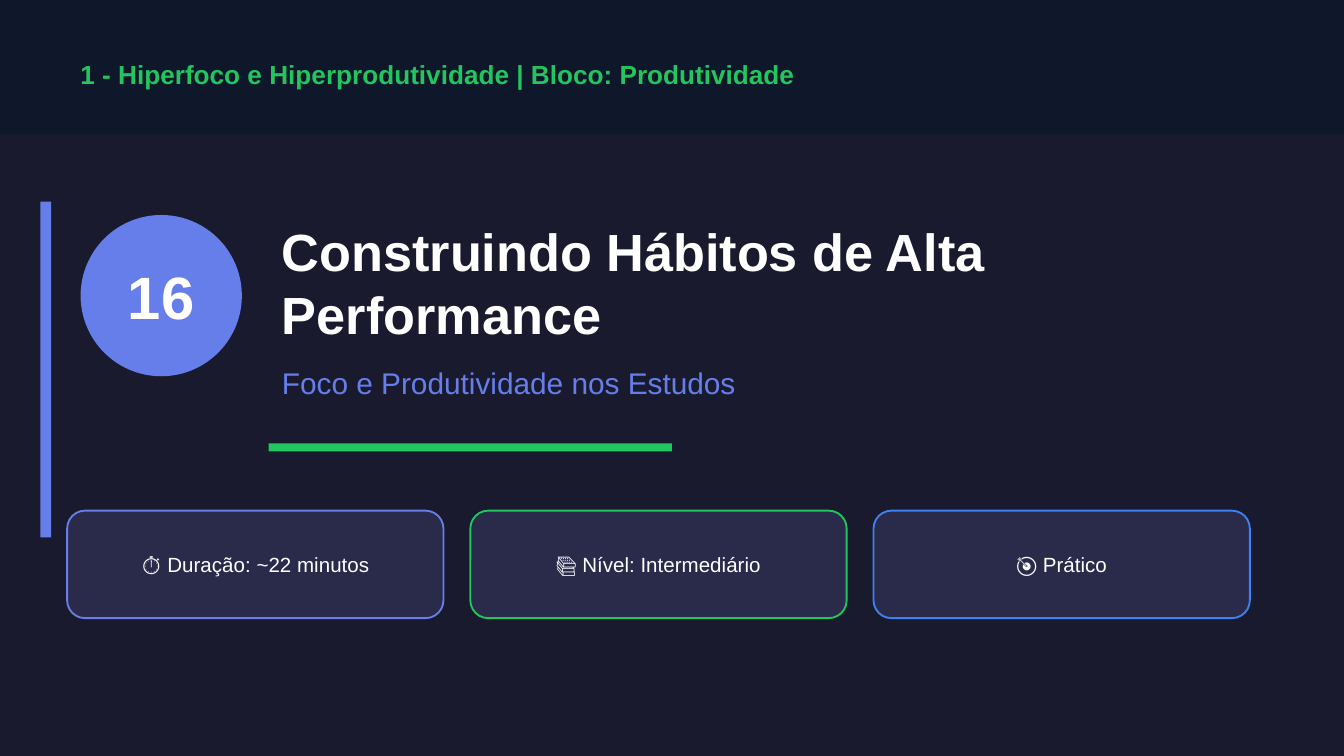
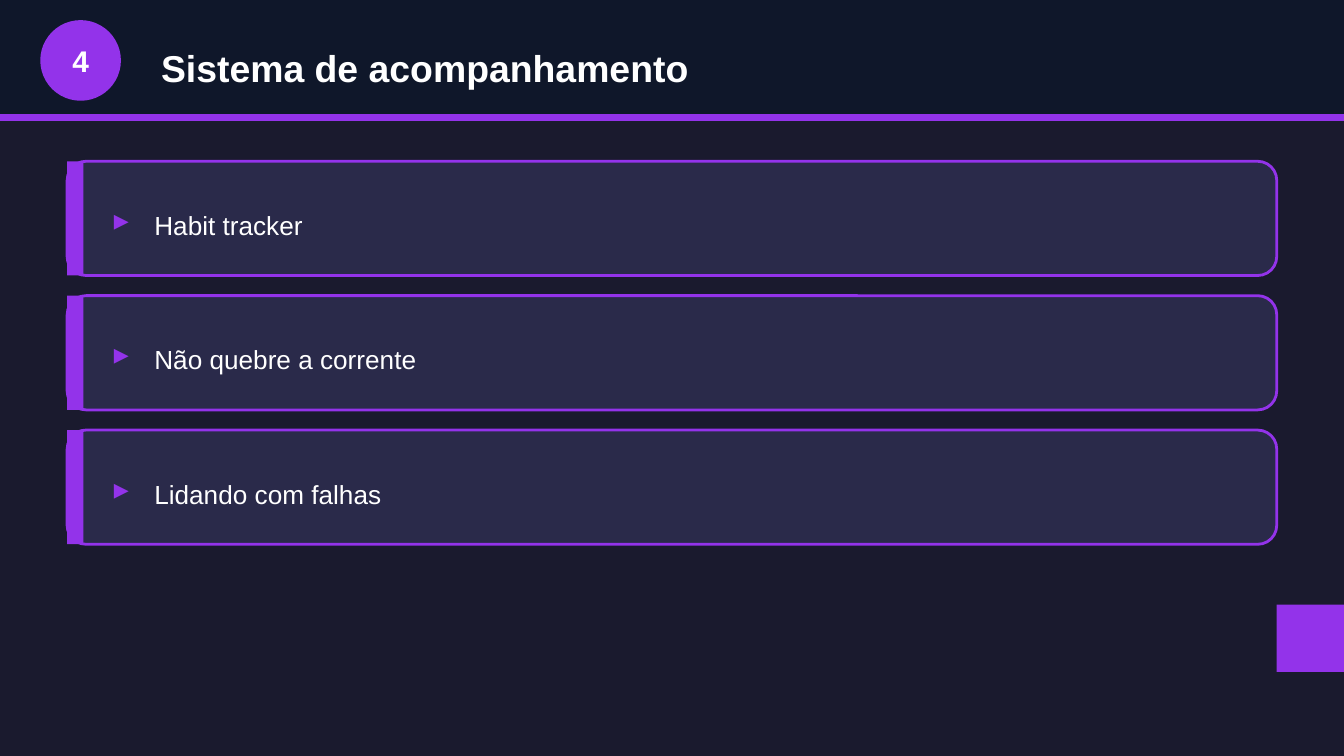
from pptx import Presentation
from pptx.dml.color import RGBColor
from pptx.enum.shapes import MSO_SHAPE
from pptx.enum.text import MSO_ANCHOR, PP_ALIGN
from pptx.util import Inches, Pt

RECTANGLE = MSO_SHAPE.RECTANGLE
ROUNDED = MSO_SHAPE.ROUNDED_RECTANGLE
OVAL = MSO_SHAPE.OVAL
MIDDLE = MSO_ANCHOR.MIDDLE
LEFT = PP_ALIGN.LEFT
CENTER = PP_ALIGN.CENTER

BACKGROUND = RGBColor(0x1A, 0x1A, 0x2E)
BAND = RGBColor(0x0F, 0x17, 0x2A)
CARD = RGBColor(0x2A, 0x2A, 0x4A)
WHITE = RGBColor(0xFF, 0xFF, 0xFF)
INDIGO = RGBColor(0x66, 0x7E, 0xEA)
GREEN = RGBColor(0x22, 0xC5, 0x5E)
BLUE = RGBColor(0x3B, 0x82, 0xF6)
PURPLE = RGBColor(0x93, 0x33, 0xEA)

FONT = "Arial"
COLUMNS = 100
SLIDE_WIDTH = Inches(10)
SLIDE_HEIGHT = SLIDE_WIDTH * 9 // 16
CELL = SLIDE_WIDTH // COLUMNS
MARGIN = 5


def grid(*lengths):
    """Turn lengths in square grid cells into slide lengths."""
    return [round(length * CELL) for length in lengths]


def add_page(deck):
    """Add a blank page with the dark background."""
    page = deck.slides.add_slide(deck.slide_layouts[6])
    page.background.fill.solid()
    page.background.fill.fore_color.rgb = BACKGROUND
    return page


def add_block(page, kind, area, fill, line=None, weight=1):
    """Add a filled shape, outlined only when a line colour is given."""
    block = page.shapes.add_shape(kind, *grid(*area))
    block.shadow.inherit = False
    block.fill.solid()
    block.fill.fore_color.rgb = fill
    if line is None:
        block.line.fill.background()
    else:
        block.line.color.rgb = line
        block.line.width = Pt(weight)
    return block


def add_text(page, text, area, size, color=WHITE, bold=False, align=LEFT):
    """Add a wrapped, vertically centred line of text."""
    frame = page.shapes.add_textbox(*grid(*area)).text_frame
    frame.word_wrap = True
    frame.vertical_anchor = MIDDLE
    frame.text = text
    para = frame.paragraphs[0]
    para.alignment = align
    font = para.runs[0].font
    font.name = FONT
    font.size = Pt(size)
    font.bold = bold
    font.color.rgb = color


def add_band(page, height):
    """Add the dark band across the top of the page."""
    add_block(page, RECTANGLE, (0, 0, COLUMNS, height), BAND)


def add_badge(page, number, left, top, diameter, inset, size, color):
    """Add a numbered circle whose text box is inset from top and bottom."""
    add_block(page, OVAL, (left, top, diameter, diameter), color)
    area = (left, top + inset, diameter, diameter - 2 * inset)
    add_text(page, number, area, size, bold=True, align=CENTER)


def add_fact(page, index, text, color):
    """Add one outlined fact card in the cover's row of cards."""
    left, top, width = MARGIN + 30 * index, 38, 28
    add_block(page, ROUNDED, (left, top, width, 8), CARD, color)
    add_text(page, text, (left, top + 1.5, width, 5), 11, align=CENTER)


def add_topic(page, index, text, color):
    """Add one full-width topic row with an accent edge and a marker."""
    top, height = 12 + 10 * index, 8.5
    width = COLUMNS - 2 * MARGIN
    add_block(page, ROUNDED, (MARGIN, top, width, height), CARD, color, 1.5)
    add_block(page, RECTANGLE, (MARGIN, top, 1.2, height), color)
    add_text(page, "▸", (7.5, top + 2.5, 3, 3.5), 16, color, bold=True)
    add_text(page, text, (10.5, top + 2.5, 82, 4.5), 14)


def build_cover(deck):
    """Build the lesson cover."""
    page = add_page(deck)
    add_band(page, 10)
    add_text(page, "1 - Hiperfoco e Hiperprodutividade | Bloco: Produtividade",
             (MARGIN, 3.5, 90, 4), 14, GREEN, bold=True)
    add_block(page, RECTANGLE, (3, 15, 0.8, 25), INDIGO)
    add_badge(page, "16", 6, 16, 12, 2.5, 32, INDIGO)
    add_text(page, "Construindo Hábitos de Alta Performance",
             (20, 16, 75, 10), 28, bold=True)
    add_text(page, "Foco e Produtividade nos Estudos",
             (20, 26, 75, 5), 16, INDIGO)
    add_block(page, RECTANGLE, (20, 33, 30, 0.6), GREEN)
    facts = [("⏱ Duração: ~22 minutos", INDIGO),
             ("📚 Nível: Intermediário", GREEN),
             ("🎯 Prático", BLUE)]
    for index, (text, color) in enumerate(facts):
        add_fact(page, index, text, color)


def build_topics(deck, number, title, topics, color):
    """Build a numbered section page with its topic rows."""
    page = add_page(deck)
    add_band(page, 9)
    add_block(page, RECTANGLE, (0, 8.5, COLUMNS, 0.5), color)
    add_badge(page, number, 3, 1.5, 6, 1, 16, color)
    add_text(page, title, (11, 2.5, 85, 5), 20, bold=True)
    for index, topic in enumerate(topics):
        add_topic(page, index, topic, color)
    add_block(page, RECTANGLE, (COLUMNS - 5, 45, 5, 5), color)


def main():
    """Build and save the deck."""
    deck = Presentation()
    deck.slide_width = SLIDE_WIDTH
    deck.slide_height = SLIDE_HEIGHT
    build_cover(deck)
    build_topics(deck, "4", "Sistema de acompanhamento",
                 ["Habit tracker", "Não quebre a corrente",
                  "Lidando com falhas"], PURPLE)
    deck.save("out.pptx")


if __name__ == "__main__":
    main()
